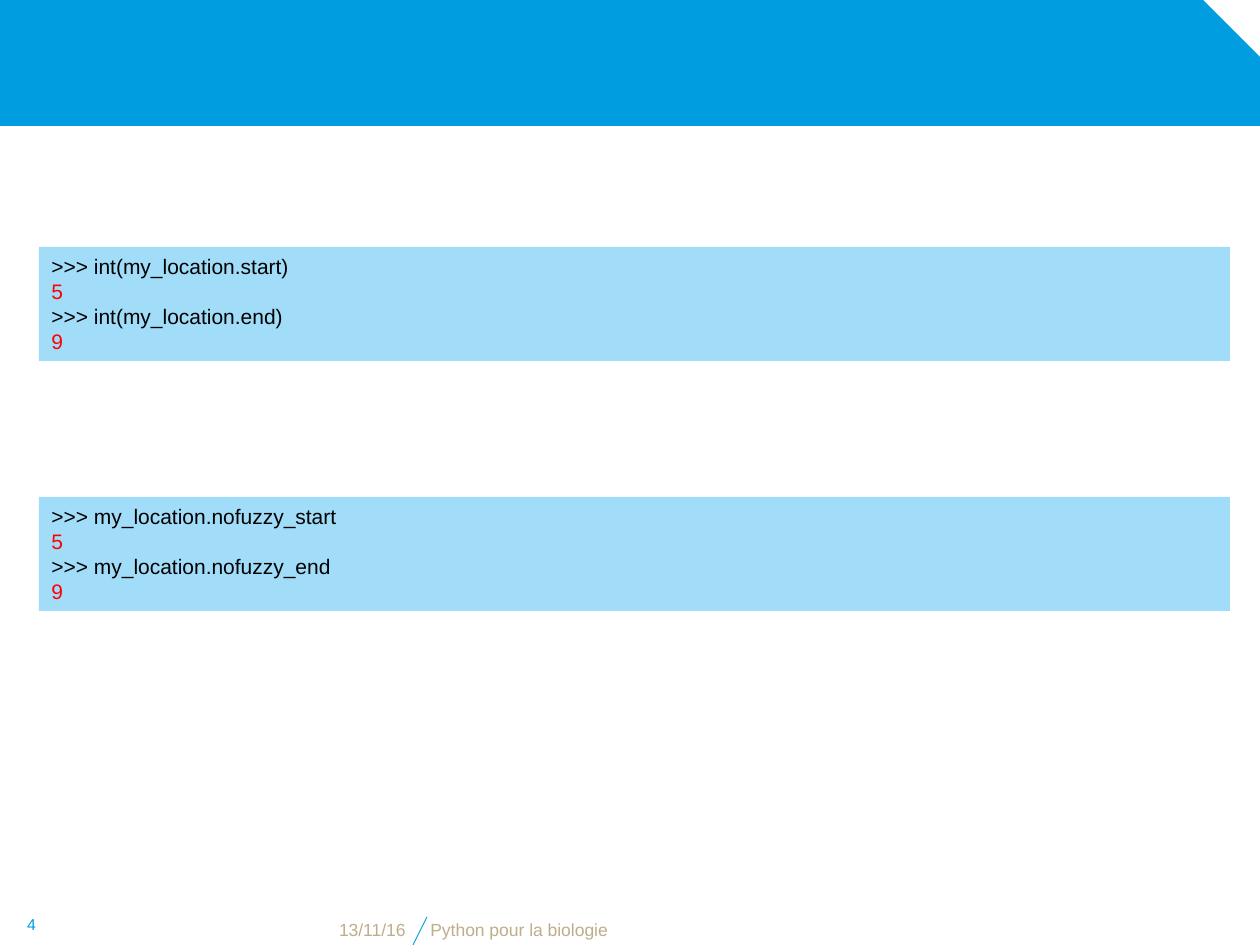
import pptx
import pptx.util
import pptx.dml.color
import pptx.enum.shapes
import pptx.enum.text
import pptx.oxml

SHAPE = pptx.enum.shapes.MSO_SHAPE
ALIGN = pptx.enum.text.PP_ALIGN
ANCHOR = pptx.enum.text.MSO_ANCHOR
RGB = pptx.dml.color.RGBColor

BLUE = RGB(0x00, 0x9D, 0xE0)
PALE_BLUE = RGB(0xA1, 0xDD, 0xF9)
SAND = RGB(0xBE, 0xAD, 0x8A)
BLACK = RGB(0, 0, 0)
RED = RGB(0xFF, 0, 0)

PX = 914400 // 126
SLIDE_SIZE = (1260, 945)

SESSIONS = [
    [(">>> int(my_location.start)", "5"), (">>> int(my_location.end)", "9")],
    [(">>> my_location.nofuzzy_start", "5"), (">>> my_location.nofuzzy_end", "9")],
]
SESSION_LEFT, SESSION_TOP, SESSION_WIDTH, SESSION_HEIGHT = 39, 247, 1191, 114
SESSION_STEP = 250

FOOTERS = [
    ("13/11/16", (125, 917, 293, 29), ALIGN.RIGHT, ANCHOR.BOTTOM, 10, SAND),
    ("Python pour la biologie", (418, 917, 725, 29), ALIGN.LEFT, ANCHOR.BOTTOM, 10, SAND),
    ("4", (0, 903, 63, 42), ALIGN.CENTER, ANCHOR.MIDDLE, 9, BLUE),
]


def emu(lengths):
    return [length * PX for length in lengths]


def add_block(slide, kind, box, fill):
    block = slide.shapes.add_shape(kind, *emu(box))
    block.shadow.inherit = False
    block.fill.solid()
    block.fill.fore_color.rgb = fill
    block.line.fill.background()
    return block


def write_lines(frame, lines, size, align, anchor):
    frame.word_wrap = True
    frame.vertical_anchor = anchor
    for index, (text, color) in enumerate(lines):
        line = frame.paragraphs[0] if index == 0 else frame.add_paragraph()
        line.text = text
        line.alignment = align
        line.font.name = "Arial"
        line.font.size = pptx.util.Pt(size)
        line.font.color.rgb = color


def main():
    deck = pptx.Presentation()
    deck.slide_width, deck.slide_height = emu(SLIDE_SIZE)
    slide = deck.slides.add_slide(deck.slide_layouts[6])

    banner = add_block(slide, SHAPE.SNIP_1_RECTANGLE, (0, 0, 1261, 126), BLUE)
    banner.adjustments[0] = 0.46

    slash = slide.shapes.add_connector(
        pptx.enum.shapes.MSO_CONNECTOR.STRAIGHT, *emu((413, 945, 427, 917)))
    slash.line.color.rgb = BLUE
    slash.line.width = pptx.util.Pt(0.5)
    slash.element.spPr.append(pptx.oxml.parse_xml(
        '<a:effectLst xmlns:a="http://schemas.openxmlformats.org/drawingml/2006/main"/>'))

    for text, box, align, anchor, size, color in FOOTERS:
        footer = slide.shapes.add_textbox(*emu(box))
        write_lines(footer.text_frame, [(text, color)], size, align, anchor)

    for index, session in enumerate(SESSIONS):
        box = (SESSION_LEFT, SESSION_TOP + index * SESSION_STEP, SESSION_WIDTH, SESSION_HEIGHT)
        console = add_block(slide, SHAPE.RECTANGLE, box, PALE_BLUE)
        lines = [line for command, result in session
                 for line in ((command, BLACK), (result, RED))]
        write_lines(console.text_frame, lines, 12, ALIGN.LEFT, ANCHOR.TOP)
        for line in console.text_frame.paragraphs:
            line.line_spacing = pptx.util.Pt(14.4)

    deck.save("out.pptx")


if __name__ == "__main__":
    main()
